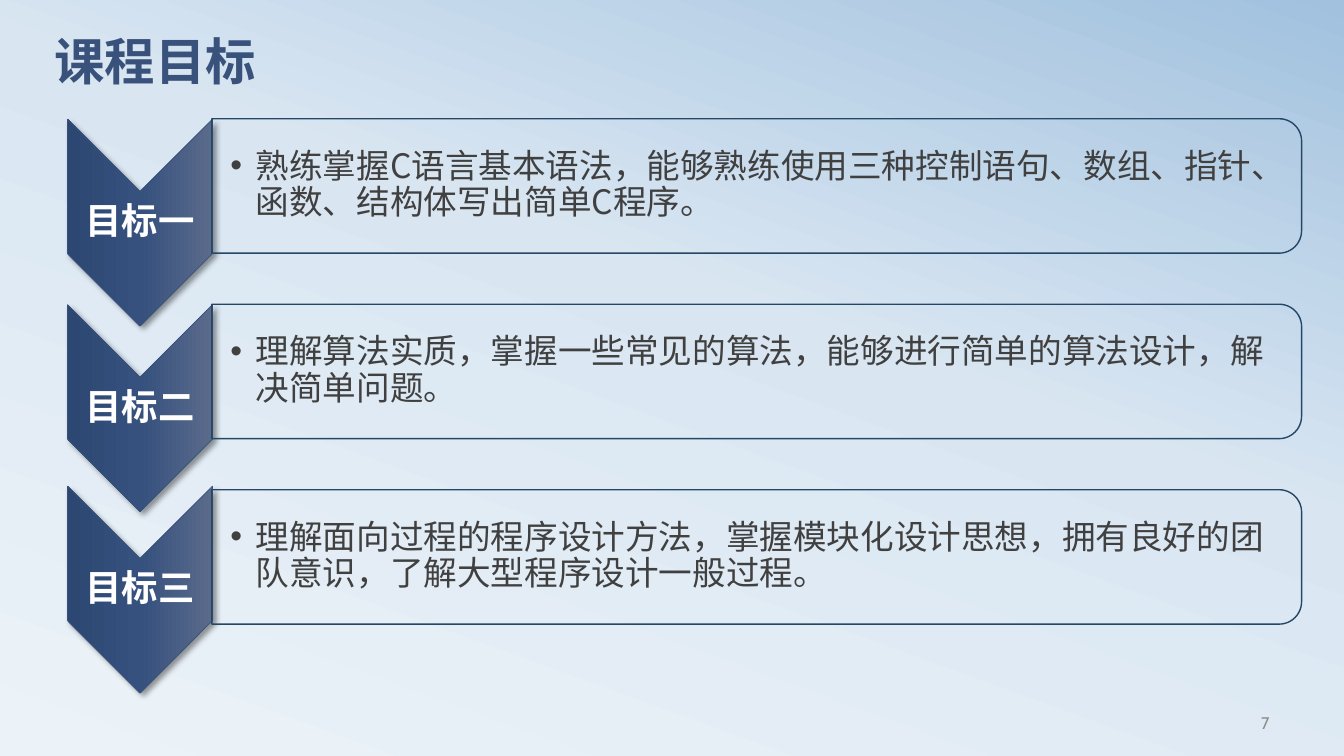
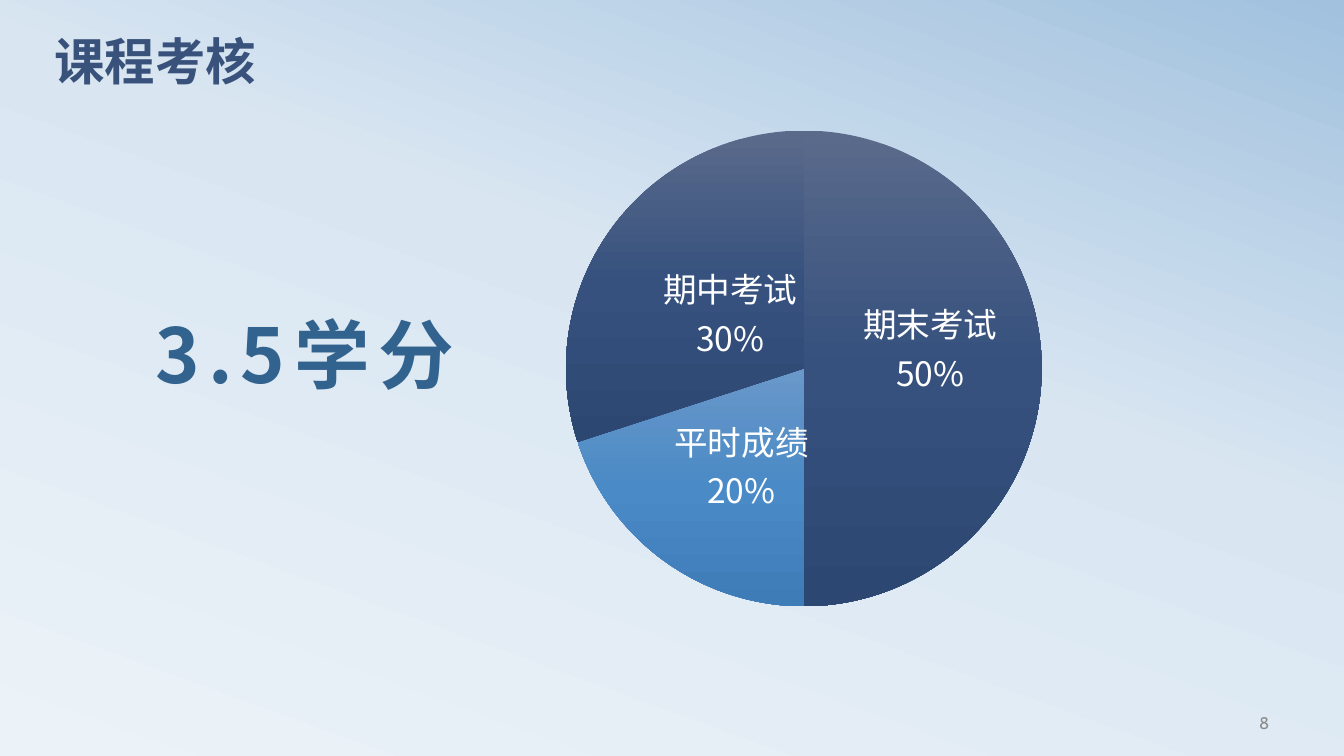
from copy import deepcopy
from dataclasses import dataclass

from lxml import etree
from pptx import Presentation
from pptx.chart.data import CategoryChartData
from pptx.dml.color import RGBColor
from pptx.enum.chart import XL_CHART_TYPE, XL_LABEL_POSITION
from pptx.enum.shapes import MSO_SHAPE
from pptx.enum.text import MSO_ANCHOR, MSO_AUTO_SIZE, PP_ALIGN
from pptx.oxml.ns import qn
from pptx.util import Pt

PIE = XL_CHART_TYPE.PIE
LABEL_CENTER = XL_LABEL_POSITION.CENTER
CHEVRON = MSO_SHAPE.CHEVRON
PANEL = MSO_SHAPE.ROUND_2_SAME_RECTANGLE
TOP, MIDDLE = MSO_ANCHOR.TOP, MSO_ANCHOR.MIDDLE
LEFT, CENTER, RIGHT = PP_ALIGN.LEFT, PP_ALIGN.CENTER, PP_ALIGN.RIGHT
NO_AUTOFIT = MSO_AUTO_SIZE.NONE


@dataclass(frozen=True)
class Theme:
    cjk: str = "Noto Sans CJK SC"
    latin: str = "Cabin"
    title_font: str = "Arial"
    navy: str = "39527B"
    panel_line: str = "244766"
    credit: str = "32628E"
    body: str = "404040"
    white: str = "FFFFFF"
    gray: str = "8C8C8C"
    title_size: int = 36
    credit_size: int = 54
    label_size: int = 26
    body_size: int = 24
    number_size: int = 12
    backdrop: tuple = ((0, "ECF3F8"), (0.58, "D9E6F2"), (1, "A1C1DE"))
    navy_fade: tuple = ((0, "5A6A8B"), (0.5, "36517E"), (1, "2D4773"))
    blue_fade: tuple = ((0, "6A98C9"), (0.5, "4A8AC6"), (1, "3E7CB8"))


theme = Theme()


def set_gradient(fill, stops, angle):
    fill.gradient()
    fill.gradient_angle = angle
    first = fill.gradient_stops[0].element
    first.getparent().append(deepcopy(first))
    for stop, (position, color) in zip(fill.gradient_stops, stops):
        stop.position = position
        stop.color.rgb = RGBColor.from_string(color)


def add_run(p, text, size, color, bold=False, font=theme.cjk):
    r = p.add_run()
    r.text = text
    r.font.size = Pt(size)
    r.font.bold = bold
    r.font.name = font
    r.font.color.rgb = RGBColor.from_string(color)
    rPr = r.font._element
    rPr.find(qn("a:latin")).addnext(
        rPr.makeelement(qn("a:ea"), {"typeface": theme.cjk}))
    return r


prs = Presentation()
prs.slide_width, prs.slide_height = Pt(960), Pt(540)
set_gradient(prs.slide_master.background.fill, theme.backdrop, 70)
layout = prs.slide_layouts[5]

for sp in layout.placeholders:
    idx = sp.placeholder_format.idx
    if idx == 0:
        sp.left, sp.top, sp.width, sp.height = Pt(31.7), Pt(26), Pt(864), Pt(67.7)
    elif idx == 12:
        sp.left, sp.top, sp.width, sp.height = Pt(690), Pt(502), Pt(224), Pt(28.8)
        number_holder = sp

slides = []
for number, title, font in (
    ("7", "课程目标", theme.title_font),
    ("8", "课程考核", theme.latin),
):
    s = prs.slides.add_slide(layout)
    tf = s.shapes.title.text_frame
    tf.auto_size = NO_AUTOFIT
    tf.vertical_anchor = TOP
    p = tf.paragraphs[0]
    p.alignment = LEFT
    p.line_spacing = 0.8
    add_run(p, title, theme.title_size, theme.navy, True, font)

    s.shapes._spTree.append(deepcopy(number_holder.element))
    tf = s.placeholders[12].text_frame
    tf.vertical_anchor = MIDDLE
    p = tf.paragraphs[0]
    p.clear()
    p.alignment = RIGHT
    add_run(p, number, theme.number_size, theme.gray, font=theme.latin)
    slides.append(s)

goals_slide, grading_slide = slides

goals = (
    (107.3, "目标一",
     "熟练掌握C语言基本语法，能够熟练使用三种控制语句、数组、指针、函数、结构体写出简单C程序。"),
    (239.8, "目标二",
     "理解算法实质，掌握一些常见的算法，能够进行简单的算法设计，解决简单问题。"),
    (369.4, "目标三",
     "理解面向过程的程序设计方法，掌握模块化设计思想，拥有良好的团队意识，了解大型程序设计一般过程。"),
)
ROW_STEP = 132.5
for row, (chevron_top, label, goal) in enumerate(goals):
    offset = row * ROW_STEP
    chevron = goals_slide.shapes.add_shape(
        CHEVRON, Pt(26.1), Pt(chevron_top), Pt(147.8), Pt(103.5))
    chevron.rotation = 90
    set_gradient(chevron.fill, theme.navy_fade, 270)
    chevron.line.color.rgb = RGBColor.from_string(theme.navy)
    chevron.line.width = Pt(0.5)
    chevron.shadow.inherit = False
    effects = chevron.element.find(".//" + qn("a:effectLst"))
    shadow = etree.SubElement(
        effects, qn("a:outerShdw"), blurRad=str(Pt(4)), dist=str(Pt(3)),
        dir="2700000", algn="tl", rotWithShape="0")
    black = etree.SubElement(shadow, qn("a:srgbClr"), val="000000")
    etree.SubElement(black, qn("a:alpha"), val="40000")

    panel = goals_slide.shapes.add_shape(
        PANEL, Pt(492.5), Pt(-256.4 + offset), Pt(96), Pt(778.4))
    panel.rotation = 90
    panel.fill.background()
    panel.line.color.rgb = RGBColor.from_string(theme.panel_line)
    panel.line.width = Pt(1)
    panel.shadow.inherit = False

    for text, left, top, width, height, inset, size, color, bold, align in (
        (label, 48.2, chevron_top + 29.5, 103.5, 44.6, 1.4,
         theme.label_size, theme.white, True, CENTER),
        (goal, 151.2, 89.3 + offset, 774, 86.4, 13.4,
         theme.body_size, theme.body, False, LEFT),
    ):
        sp = goals_slide.shapes.add_textbox(Pt(left), Pt(top), Pt(width), Pt(height))
        tf = sp.text_frame
        tf.word_wrap = True
        tf.vertical_anchor = MIDDLE
        tf.margin_left = Pt(inset)
        tf.margin_top = tf.margin_right = tf.margin_bottom = Pt(1.4)
        p = tf.paragraphs[0]
        p.alignment = align
        p.line_spacing = 0.9
        add_run(p, text, size, color, bold)
    pPr = p._p.get_or_add_pPr()
    pPr.set("marL", str(Pt(18)))
    pPr.set("indent", str(Pt(-18)))
    etree.SubElement(pPr, qn("a:buFont"), typeface="Arial")
    etree.SubElement(pPr, qn("a:buChar"), char="•")

data = CategoryChartData()
data.categories = ["期末考试", "平时成绩", "期中考试"]
data.add_series("Series 1", (50, 20, 30))
chart = grading_slide.shapes.add_chart(
    PIE, Pt(315.4), Pt(25.9), Pt(538.6), Pt(499), data).chart
chart.has_legend = False
chart.has_title = False
chart.font.name = theme.latin
chart.font.size = Pt(18)
plot = chart.plots[0]
plot.vary_by_categories = True

for i, fade in enumerate((theme.navy_fade, theme.blue_fade, theme.navy_fade)):
    point = plot.series[0].points[i]
    set_gradient(point.format.fill, fade, 270)
    point.format.line.fill.background()
    point.data_label.position = LABEL_CENTER
    font = point.data_label.font
    font.name = theme.cjk
    font.size = Pt(theme.body_size)
    font.bold = False
    font.color.rgb = RGBColor.from_string(theme.white)

plot_area = chart.element.find(".//" + qn("c:plotArea"))
for old in plot_area.findall(qn("c:layout")):
    plot_area.remove(old)
labels = list(chart.element.iter(qn("c:dLbl")))
for label in labels:
    for flag, value in (("showVal", "0"), ("showCatName", "1"), ("showPercent", "1")):
        label.find(qn("c:" + flag)).set("val", value)
    etree.SubElement(label, qn("c:separator")).text = "\n"

plot_frame = (("layoutTarget", "inner"), ("xMode", "edge"), ("yMode", "edge"),
              ("x", "0.165"), ("y", "0.135"), ("w", "0.631"), ("h", "0.681"))
label_shifts = ((0.01, -0.03), (0.01, 0), (0.03, 0.02))
placements = [(plot_area, 0, plot_frame)]
for label, (x, y) in zip(labels, label_shifts):
    placements.append((label, 1, (("x", str(x)), ("y", str(y)))))
for parent, index, values in placements:
    frame = parent.makeelement(qn("c:layout"), {})
    parent.insert(index, frame)
    manual = etree.SubElement(frame, qn("c:manualLayout"))
    for name, value in values:
        etree.SubElement(manual, qn("c:" + name), val=value)

sp = grading_slide.shapes.add_textbox(Pt(103.7), Pt(224), Pt(248.4), Pt(85))
tf = sp.text_frame
tf.word_wrap = False
p = tf.paragraphs[0]
p.line_spacing = 0.9
r = add_run(p, "3.5学分", theme.credit_size, theme.credit, True)
r.font._element.set("spc", "600")

prs.save("out.pptx")
